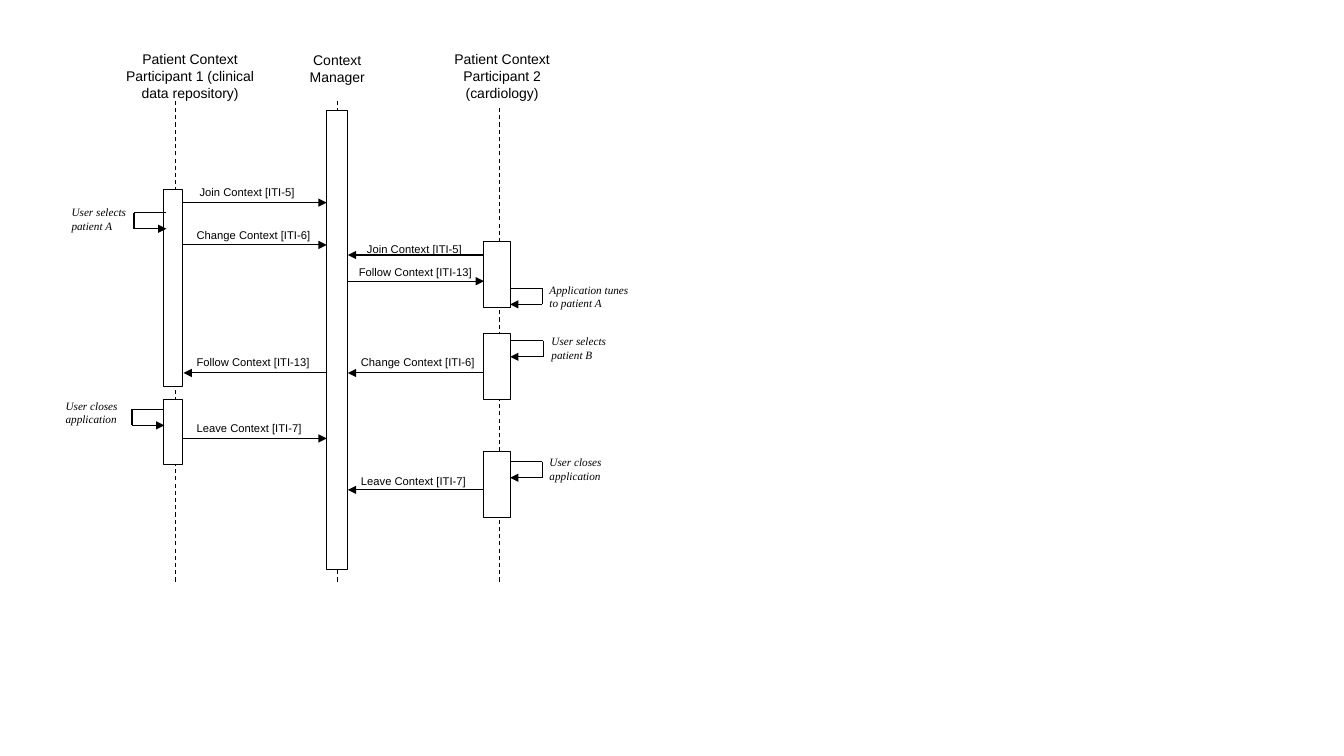
from dataclasses import dataclass
from lxml import etree
from pptx import Presentation
from pptx.dml.color import RGBColor
from pptx.enum.dml import MSO_LINE
from pptx.enum.shapes import MSO_CONNECTOR, MSO_SHAPE
from pptx.enum.text import PP_ALIGN
from pptx.oxml.ns import qn
from pptx.util import Inches, Pt

DASH = MSO_LINE.DASH
STRAIGHT = MSO_CONNECTOR.STRAIGHT
RECT = MSO_SHAPE.RECTANGLE
CENTER = PP_ALIGN.CENTER
LEFT = PP_ALIGN.LEFT


@dataclass(frozen=True)
class Theme:
    ink: RGBColor = RGBColor(0, 0, 0)
    paper: RGBColor = RGBColor(255, 255, 255)
    sans: str = "Arial"
    serif: str = "Times New Roman"
    head: float = 10
    small: float = 8
    thin: float = 0.75
    bold: float = 1


THEME = Theme()

HEADS = [
    ((1.22, 0.5, 1.33, 0.66),
     ["Patient Context", "Participant 1 (clinical data repository)"]),
    ((2.83, 0.51, 1.03, 0.35), ["Context", "Manager"]),
    ((4.48, 0.5, 1, 0.56), ["Patient Context", "Participant 2 (cardiology)"]),
]
LIVES = [(1.74, 1), (3.35, 1), (4.95, 1.06)]
LIFE_END = 5.77

BARS = [
    (1.62, 1.88, 0.19, 1.95),
    (1.62, 3.96, 0.19, 0.65),
    (3.24, 1.1, 0.21, 4.55),
    (4.8, 2.4, 0.26, 0.65),
    (4.8, 3.31, 0.26, 0.65),
    (4.8, 4.48, 0.26, 0.65),
]

SPANS = {
    "first to manager": (1.82, 3.24),
    "manager to first": (3.24, 1.82),
    "manager to second": (3.45, 4.8),
    "second to manager": (4.8, 3.45),
}
CALLS = [
    ("first to manager", 2.01, "Join Context [ITI-5]", 1.98, 1.84),
    ("first to manager", 2.43, "Change Context [ITI-6]", 1.95, 2.27),
    ("second to manager", 2.53, "Join Context [ITI-5]", 3.64, 2.4),
    ("manager to second", 2.79, "Follow Context [ITI-13]", 3.56, 2.63),
    ("manager to first", 3.7, "Follow Context [ITI-13]", 1.95, 3.53),
    ("second to manager", 3.7, "Change Context [ITI-6]", 3.58, 3.53),
    ("first to manager", 4.35, "Leave Context [ITI-7]", 1.95, 4.18),
    ("second to manager", 4.86, "Leave Context [ITI-7]", 3.58, 4.71),
]
CALL_W, CALL_H = 1.2, 0.13

LOOPS = [
    (1.65, 1.33, 2.11, "User selects patient A", (0.71, 2.04, 0.6, 0.33)),
    (1.63, 1.31, 4.06, "User closes application", (0.65, 3.96, 0.65, 0.33)),
    (5.06, 5.38, 2.86, "Application tunes to patient A", (5.45, 2.81, 0.86, 0.31)),
    (5.06, 5.39, 3.38, "User selects patient B", (5.47, 3.32, 0.74, 0.31)),
    (5.06, 5.38, 4.58, "User closes application", (5.45, 4.52, 0.74, 0.31)),
]
LOOP_H = 0.16


def write(slide, box, lines, size, face, align=LEFT, slant=False):
    shape = slide.shapes.add_textbox(*map(Inches, box))
    shape.fill.solid()
    shape.fill.fore_color.rgb = THEME.paper
    frame = shape.text_frame
    frame.word_wrap = True
    frame.margin_left = frame.margin_right = 0
    frame.margin_top = frame.margin_bottom = 0
    for i, line in enumerate(lines):
        para = frame.add_paragraph() if i else frame.paragraphs[0]
        para.alignment = align
        run = para.add_run()
        run.text = line
        run.font.size = Pt(size)
        run.font.name = face
        run.font.italic = slant
        run.font.color.rgb = THEME.ink


def draw(slide, start, end, width=THEME.thin, dash=None, arrow=False):
    link = slide.shapes.add_connector(STRAIGHT, *map(Inches, start + end))
    link.line.color.rgb = THEME.ink
    link.line.width = Pt(width)
    if dash:
        link.line.dash_style = dash
    if arrow:
        tip = etree.SubElement(link.line._get_or_add_ln(), qn("a:tailEnd"))
        tip.set("type", "triangle")
    etree.SubElement(link._element.spPr, qn("a:effectLst"))


def add_bar(slide, box):
    bar = slide.shapes.add_shape(RECT, *map(Inches, box))
    bar.shadow.inherit = False
    bar.fill.solid()
    bar.fill.fore_color.rgb = THEME.paper
    bar.line.color.rgb = THEME.ink
    bar.line.width = Pt(THEME.thin)


def add_loop(slide, edge, out, top):
    low = top + LOOP_H
    draw(slide, (edge, top), (out, top), THEME.bold)
    draw(slide, (out, top), (out, low), THEME.bold)
    draw(slide, (out, low), (edge, low), arrow=True)


def main():
    deck = Presentation()
    deck.slide_width, deck.slide_height = Inches(13.33), Inches(7.5)
    slide = deck.slides.add_slide(deck.slide_layouts[6])

    for box, lines in HEADS:
        write(slide, box, lines, THEME.head, THEME.sans, CENTER)
    for x, top in LIVES:
        draw(slide, (x, LIFE_END), (x, top), dash=DASH)
    for span, y, text, left, top in CALLS:
        write(slide, (left, top, CALL_W, CALL_H), [text], THEME.small, THEME.sans)
        start, end = SPANS[span]
        draw(slide, (start, y), (end, y), arrow=True)
    for box in BARS:
        add_bar(slide, box)
    for edge, out, top, text, box in LOOPS:
        write(slide, box, [text], THEME.small, THEME.serif, slant=True)
        add_loop(slide, edge, out, top)

    deck.save("out.pptx")


if __name__ == "__main__":
    main()
